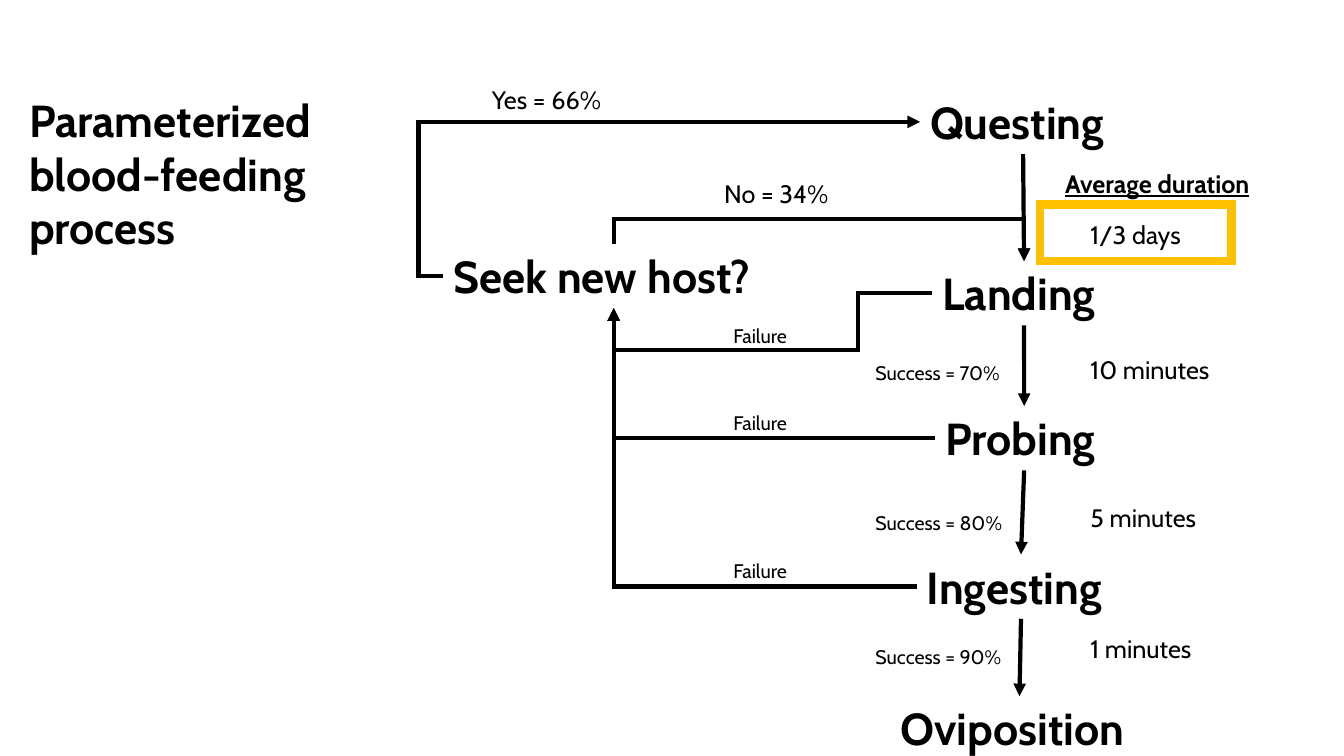
from lxml import etree
from pptx import Presentation
from pptx import util as u
from pptx.dml.color import RGBColor
from pptx.enum import shapes, text
from pptx.oxml.ns import qn

COLORS = {"ink": "000000", "highlight": "FFC000"}
FONT = "Cabin"
HEADING = {"size": u.Pt(32), "bold": True}
LABEL = {"size": u.Pt(18)}
COLUMN_HEAD = {"size": u.Pt(18), "bold": True, "underline": True}
SMALL = {"size": u.Pt(14)}
HEIGHTS = {32: 46, 18: 29, 14: 24.5}

STAGES = [
    ("Questing", 657.2, 64.1, 147.2),
    ("Landing", 666, 186.5, 131),
    ("Probing", 668.2, 290, 126.7),
    ("Ingesting", 655, 396, 148.6),
    ("Oviposition", 636.2, 497.3, 184),
]
DURATIONS = [
    ("1/3 days", 153.4, 82),
    ("10 minutes", 249.4, 103),
    ("5 minutes", 355.4, 94),
    ("1 minutes", 448.6, 94),
]
SUCCESSES = [("Success = 70%", 254.2), ("Success = 80%", 361.4), ("Success = 90%", 457.2)]
FAILURE_TOPS = [227.5, 289.7, 395.6]


def add_label(slide, words, left, top, width, style, height=None, wrap=False):
    """Add one text box and return its (left, top, right, bottom)."""
    height = height or HEIGHTS[int(style["size"].pt)]
    shape = slide.shapes.add_textbox(u.Pt(left), u.Pt(top), u.Pt(width), u.Pt(height))
    frame = shape.text_frame
    frame.word_wrap = wrap
    frame.auto_size = text.MSO_AUTO_SIZE.SHAPE_TO_FIT_TEXT
    run = frame.paragraphs[0].add_run()
    run.text = words
    for name, value in {"name": FONT, **style}.items():
        setattr(run.font, name, value)
    run.font.color.rgb = RGBColor.from_string(COLORS["ink"])
    return left, top, left + width, top + height


def add_arrow(slide, begin, end, kind=shapes.MSO_CONNECTOR.STRAIGHT):
    """Add a connector that ends in a triangle."""
    points = [u.Pt(value) for value in (*begin, *end)]
    connector = slide.shapes.add_connector(kind, *points)
    connector.line.width = u.Pt(3)
    connector.line.color.rgb = RGBColor.from_string(COLORS["ink"])
    properties = connector._element.spPr
    outline = properties.find(qn("a:ln"))
    etree.SubElement(outline, qn("a:miter"), lim="800000")
    etree.SubElement(outline, qn("a:tailEnd"), type="triangle")
    etree.SubElement(properties, qn("a:effectLst"))
    return connector


def add_elbow(slide, begin, end, preset, bends=(), upright=False):
    """Add a bent arrow through given bends; upright ones leave vertically."""
    axes = (1, 0) if upright else (0, 1)
    ratios = [(bend - begin[axis]) / (end[axis] - begin[axis])
              for bend, axis in zip(bends, axes)]
    if upright:
        middle_x, middle_y = (begin[0] + end[0]) / 2, (begin[1] + end[1]) / 2
        half_x, half_y = (end[0] - begin[0]) / 2, (end[1] - begin[1]) / 2
        begin = (middle_x + half_y, middle_y - half_x)
        end = (middle_x - half_y, middle_y + half_x)
    connector = add_arrow(slide, begin, end, shapes.MSO_CONNECTOR.ELBOW)
    properties = connector._element.spPr
    if upright:
        properties.find(qn("a:xfrm")).set("rot", str(270 * 60000))
    geometry = properties.find(qn("a:prstGeom"))
    geometry.set("prst", preset)
    guides = geometry.find(qn("a:avLst"))
    if guides is None:
        guides = etree.SubElement(geometry, qn("a:avLst"))
    for number, ratio in enumerate(ratios, 1):
        etree.SubElement(guides, qn("a:gd"), name=f"adj{number}",
                         fmla=f"val {round(ratio * 100000)}")


def add_frame(slide, left, top, width, height):
    """Add the unfilled highlight rectangle with sharp corners."""
    shape = slide.shapes.add_shape(shapes.MSO_SHAPE.RECTANGLE, u.Pt(left), u.Pt(top),
                                   u.Pt(width), u.Pt(height))
    shape.shadow.inherit = False
    shape.fill.background()
    shape.line.width = u.Pt(6)
    shape.line.color.rgb = RGBColor.from_string(COLORS["highlight"])
    outline = shape._element.spPr.find(qn("a:ln"))
    etree.SubElement(outline, qn("a:miter"), lim="800000")


def side(box, name):
    """Return the midpoint of one side of a box."""
    left, top, right, bottom = box
    return {"left": (left, (top + bottom) / 2), "top": ((left + right) / 2, top),
            "bottom": ((left + right) / 2, bottom)}[name]


def main():
    """Build the blood-feeding flow slide."""
    presentation = Presentation()
    presentation.slide_width, presentation.slide_height = u.Pt(960), u.Pt(540)
    slide = presentation.slides.add_slide(presentation.slide_layouts[6])

    add_label(slide, "Parameterized blood-feeding process", 13.7, 62.6, 269.3,
              HEADING, height=123.8, wrap=True)
    stages = [add_label(slide, *stage, HEADING) for stage in STAGES]
    seek = add_label(slide, "Seek new host?", 316.6, 174.2, 243.6, HEADING)
    questing, landing, probing, ingesting = stages[:4]

    for upper, lower in zip(stages, stages[1:]):
        add_arrow(slide, side(upper, "bottom"), side(lower, "top"))
    add_elbow(slide, side(seek, "left"), side(questing, "left"), "bentConnector3", [298.8])
    add_elbow(slide, side(seek, "top"), side(landing, "top"), "bentConnector3", [156.2],
              upright=True)
    add_elbow(slide, side(landing, "left"), side(seek, "bottom"), "bentConnector4",
              [612.7, 250.2])
    for stage in (probing, ingesting):
        add_elbow(slide, side(stage, "left"), side(seek, "bottom"), "bentConnector2")

    add_label(slide, "Yes = 66%", 344.2, 56.9, 95, LABEL)
    add_label(slide, "No = 34%", 510.2, 123.8, 92, LABEL)
    add_label(slide, "Average duration", 753.8, 116.6, 154, COLUMN_HEAD)
    for words, top, width in DURATIONS:
        add_label(slide, words, 771.8, top, width, LABEL)
    for words, top in SUCCESSES:
        add_label(slide, words, 618.2, top, 108, SMALL)
    for top in FAILURE_TOPS:
        add_label(slide, "Failure", 516.7, top, 58, SMALL)
    add_frame(slide, 743, 146.2, 136.8, 40.3)
    presentation.save("out.pptx")


if __name__ == "__main__":
    main()
